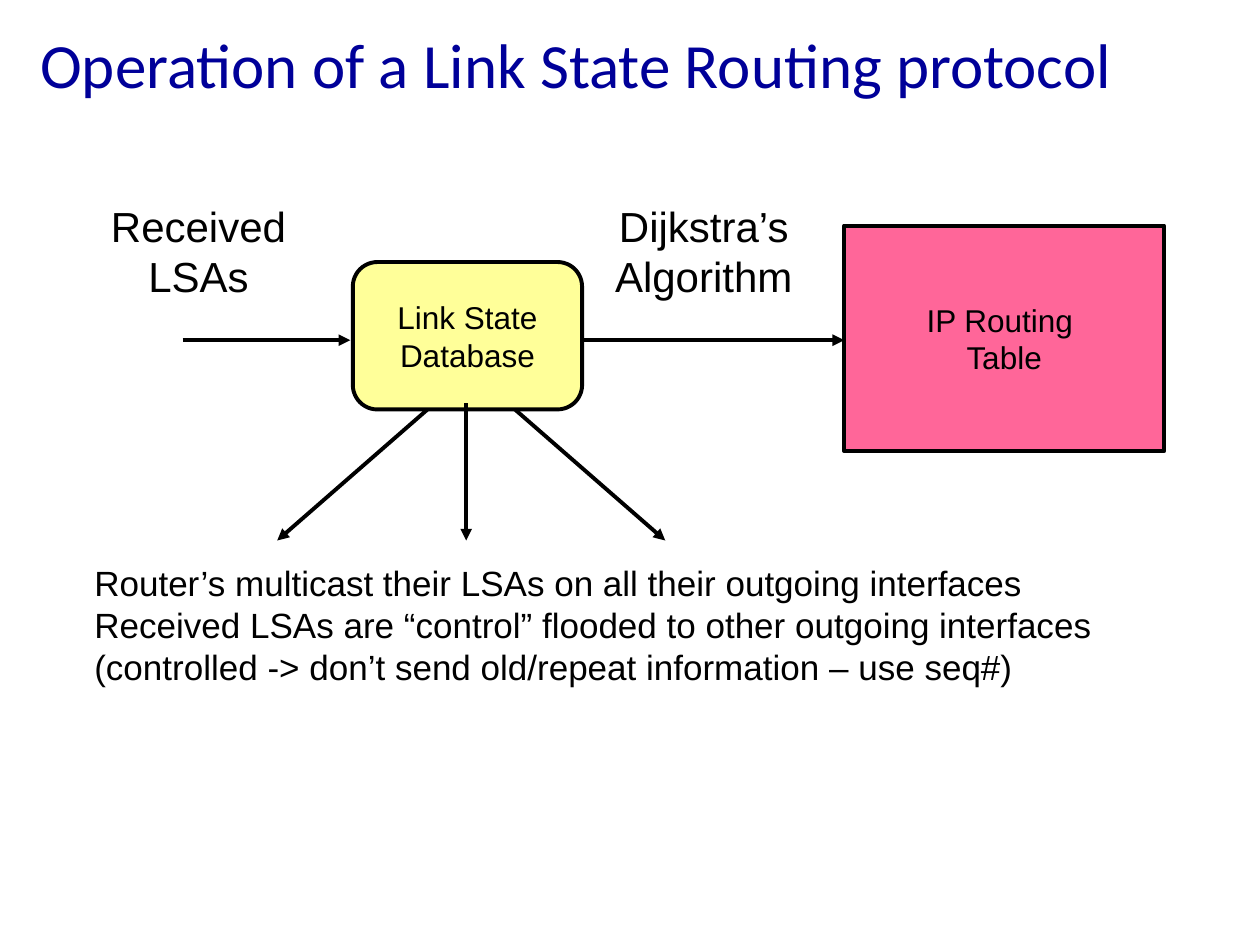
import pptx
import pptx.util
import pptx.dml.color
import pptx.enum.shapes
import pptx.enum.text
import pptx.oxml.ns
import lxml.etree

COLORS = {"ink": "000000", "title": "000099", "database": "FFFF99", "table": "FF6699"}
ALIGN = pptx.enum.text.PP_ALIGN
ANCHOR = pptx.enum.text.MSO_ANCHOR
SHAPE = pptx.enum.shapes.MSO_SHAPE

deck = pptx.Presentation()
deck.slide_width = pptx.util.Inches(10)
deck.slide_height = pptx.util.Inches(7.5)
page = deck.slides.add_slide(deck.slide_layouts[5])

# Lengths are counted on a grid of 100 columns by 75 rows
column = deck.slide_width / 100
row = deck.slide_height / 75


def grid(left, top, width, height):
    return [int(left * column), int(top * row), int(width * column), int(height * row)]


def write(box, lines, size, align, anchor, color="ink", font="Arial", wrap=False):
    frame = box.text_frame
    frame.word_wrap = wrap
    frame.vertical_anchor = anchor
    for number, line in enumerate(lines):
        para = frame.paragraphs[0] if number == 0 else frame.add_paragraph()
        para.alignment = align
        for part, words in enumerate(line.split("\n")):
            if part:
                para.add_line_break()
            span = para.add_run()
            span.text = words
            span.font.size = pptx.util.Pt(size)
            span.font.name = font
            span.font.color.rgb = pptx.dml.color.RGBColor.from_string(COLORS[color])


# Title
title = page.shapes.title
title.left, title.top, title.width, title.height = grid(2.2, 2.2, 95, 5.6)
write(title, ["Operation of a Link State Routing protocol"], 36,
      ALIGN.LEFT, ANCHOR.MIDDLE, "title", "Calibri", True)

# Arrows: received, computed, and flooded to three interfaces
arrows = [
    (14.5, 27, 27.8, 27),
    (46.1, 27, 67, 27),
    (40.3, 32, 52.8, 42.9),
    (34.5, 32, 22, 42.9),
    (37, 32, 37, 42.9),
]
links = []
for ends in arrows:
    link = page.shapes.add_connector(
        pptx.enum.shapes.MSO_CONNECTOR.STRAIGHT, *grid(*ends))
    link.line.width = pptx.util.Pt(2.25)
    link.line.color.rgb = pptx.dml.color.RGBColor.from_string(COLORS["ink"])
    head = lxml.etree.SubElement(link.line._get_or_add_ln(), pptx.oxml.ns.qn("a:tailEnd"))
    head.set("type", "triangle")
    lxml.etree.SubElement(link._element.spPr, pptx.oxml.ns.qn("a:effectLst"))
    links.append(link)

# Link state database and routing table
stores = [
    (SHAPE.ROUNDED_RECTANGLE, (28, 20.8, 18.2, 11.7), "database", "Link State\nDatabase"),
    (SHAPE.RECTANGLE, (67, 17.9, 25.4, 17.9), "table", "IP Routing \nTable"),
]
for kind, place, color, words in stores:
    store = page.shapes.add_shape(kind, *grid(*place))
    store.shadow.inherit = False
    store.fill.solid()
    store.fill.fore_color.rgb = pptx.dml.color.RGBColor.from_string(COLORS[color])
    store.line.color.rgb = pptx.dml.color.RGBColor.from_string(COLORS["ink"])
    store.line.width = pptx.util.Pt(2.25)
    write(store, [words], 18, ALIGN.CENTER, ANCHOR.MIDDLE)

# The middle flooding arrow starts in front of the database
page.shapes._spTree.append(links[-1]._element)

# Arrow labels and explanation
labels = [
    ((7.8, 15.4, 15.9, 10.4), ["Received\nLSAs"], 24, ALIGN.CENTER),
    ((47.8, 15.4, 16.1, 13.2), ["Dijkstra’s", "Algorithm"], 24, ALIGN.CENTER),
    ((6.5, 44.1, 82.5, 11.1), [
        "Router’s multicast their LSAs on all their outgoing interfaces",
        "Received LSAs are “control” flooded to other outgoing interfaces",
        "(controlled -> don’t send old/repeat information – use seq#)",
    ], 20, ALIGN.LEFT),
]
for place, lines, size, align in labels:
    label = page.shapes.add_textbox(*grid(*place))
    write(label, lines, size, align, ANCHOR.TOP)

deck.save("out.pptx")
